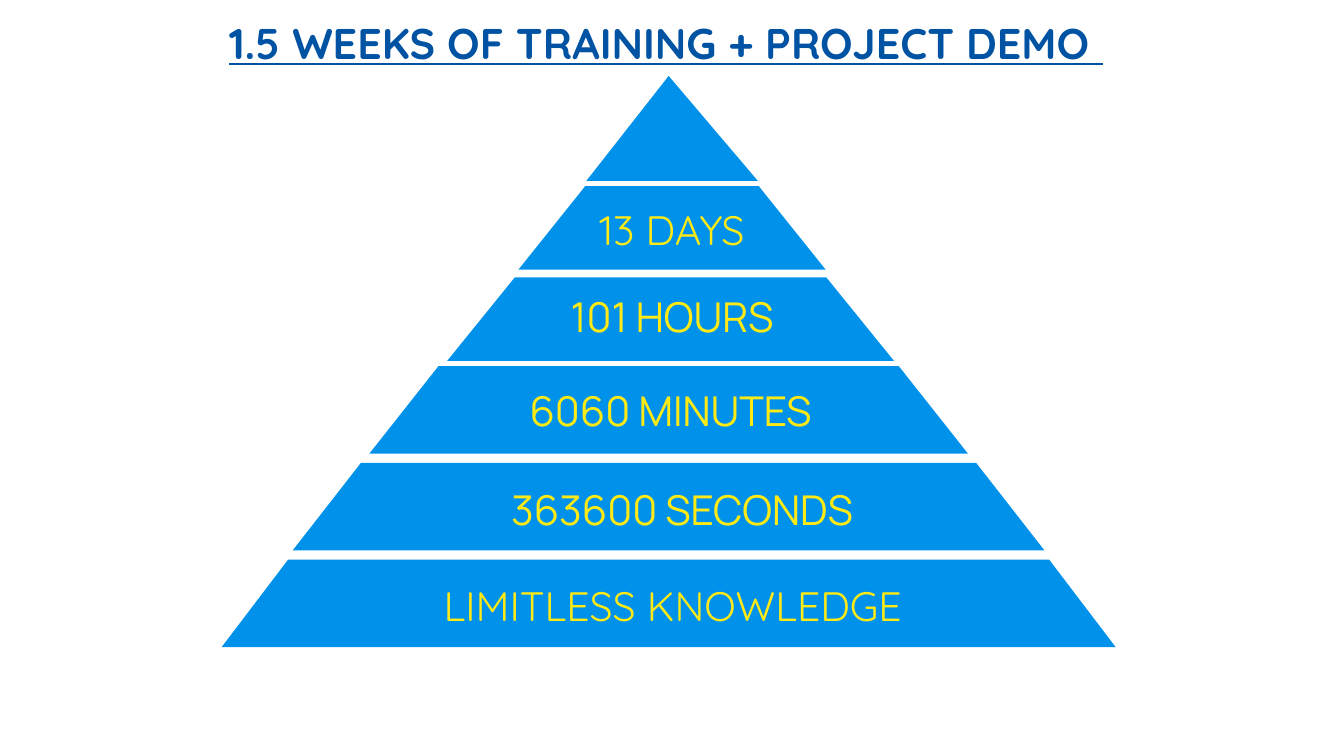
from copy import deepcopy

from lxml.etree import SubElement
from pptx import Presentation
from pptx.dml.color import RGBColor
from pptx.enum.shapes import MSO_SHAPE
from pptx.enum.text import MSO_ANCHOR, PP_ALIGN
from pptx.oxml.ns import qn
from pptx.util import Pt

PX = 4572
BLUE = RGBColor(0x00, 0x91, 0xEA)
NAVY = RGBColor(0x00, 0x53, 0xA3)
YELLOW = RGBColor(0xFF, 0xEA, 0x15)
PEAK = MSO_SHAPE.ISOSCELES_TRIANGLE
SLAB = MSO_SHAPE.TRAPEZOID

TIERS = [
    (PEAK, (543, 0, 242, 148), 0.48),
    (SLAB, (442, 162, 444, 118), 0.8),
    (SLAB, (336, 298, 652, 118), 0.81),
    (SLAB, (220, 430, 878, 124), 0.79),
    (SLAB, (106, 574, 1106, 124), 0.78),
    (SLAB, (0, 718, 1318, 124), 0.76),
]
LABELS = [
    ("13 DAYS", (483, 178, 362, 90), "Quicksand", 1),
    ("101 HOURS", (442, 307, 444, 90), "Manrope", 1),
    ("6060 MINUTES", (336, 447, 652, 90), "Manrope", 1),
    ("363600 SECONDS", (148, 577, 1062, 118), "Manrope", 1.1),
    ("LIMITLESS KNOWLEDGE", (86, 717, 1158, 124), "Quicksand", 1.1),
]


def scale(*sizes):
    """Turn px lengths into EMU."""
    return [size * PX for size in sizes]


def add_text(slide, box, text, face, size, color, lead=1.1):
    """Add centred text and return its paragraph."""
    shape = slide.shapes.add_textbox(*scale(*box))
    frame = shape.text_frame
    frame.word_wrap = True
    frame.vertical_anchor = MSO_ANCHOR.MIDDLE
    frame.margin_left = frame.margin_right = 0
    frame.margin_top = frame.margin_bottom = 0
    frame.text = text
    line = frame.paragraphs[0]
    line.alignment = PP_ALIGN.CENTER
    line.line_spacing = lead
    font = line.runs[0].font
    font.name = face
    font.size = Pt(size)
    font.color.rgb = color
    return line


def add_title(slide, box):
    """Add the underlined heading, which ends in a line break."""
    line = add_text(slide, box, "1.5 WEEKS OF TRAINING + PROJECT DEMO \v",
                    "Quicksand", 23, NAVY)
    run = line.runs[0]
    run.font.bold = True
    run.font.underline = True
    style = run.font._element
    line._p.find(qn("a:br")).append(deepcopy(style))
    tail = SubElement(line._p, qn("a:endParaRPr"), dict(style.attrib))
    tail.extend(deepcopy(list(style)))


def add_tiers(slide, left, top):
    """Stack the pyramid from its peak down, then label its slabs."""
    for kind, (x, y, wide, high), slant in TIERS:
        tier = slide.shapes.add_shape(
            kind, *scale(left + x, top + y, wide, high))
        tier.adjustments[0] = slant
        tier.shadow.inherit = False
        tier.fill.solid()
        tier.fill.fore_color.rgb = BLUE
        tier.line.color.rgb = BLUE
        tier.line.width = Pt(2.25)
        edge = tier._element.spPr.find(qn("a:ln"))
        SubElement(edge, qn("a:miter"), lim="800000")
    for text, (x, y, wide, high), face, lead in LABELS:
        add_text(slide, (left + x, top + y, wide, high), text, face, 22,
                 YELLOW, lead)


def main():
    """Build and save the slide."""
    deck = Presentation()
    deck.slide_width, deck.slide_height = scale(2000, 1125)
    slide = deck.slides.add_slide(deck.slide_layouts[6])
    add_title(slide, (0, 36, 1982, 124))
    add_tiers(slide, 336, 118)
    deck.save("out.pptx")


if __name__ == "__main__":
    main()
